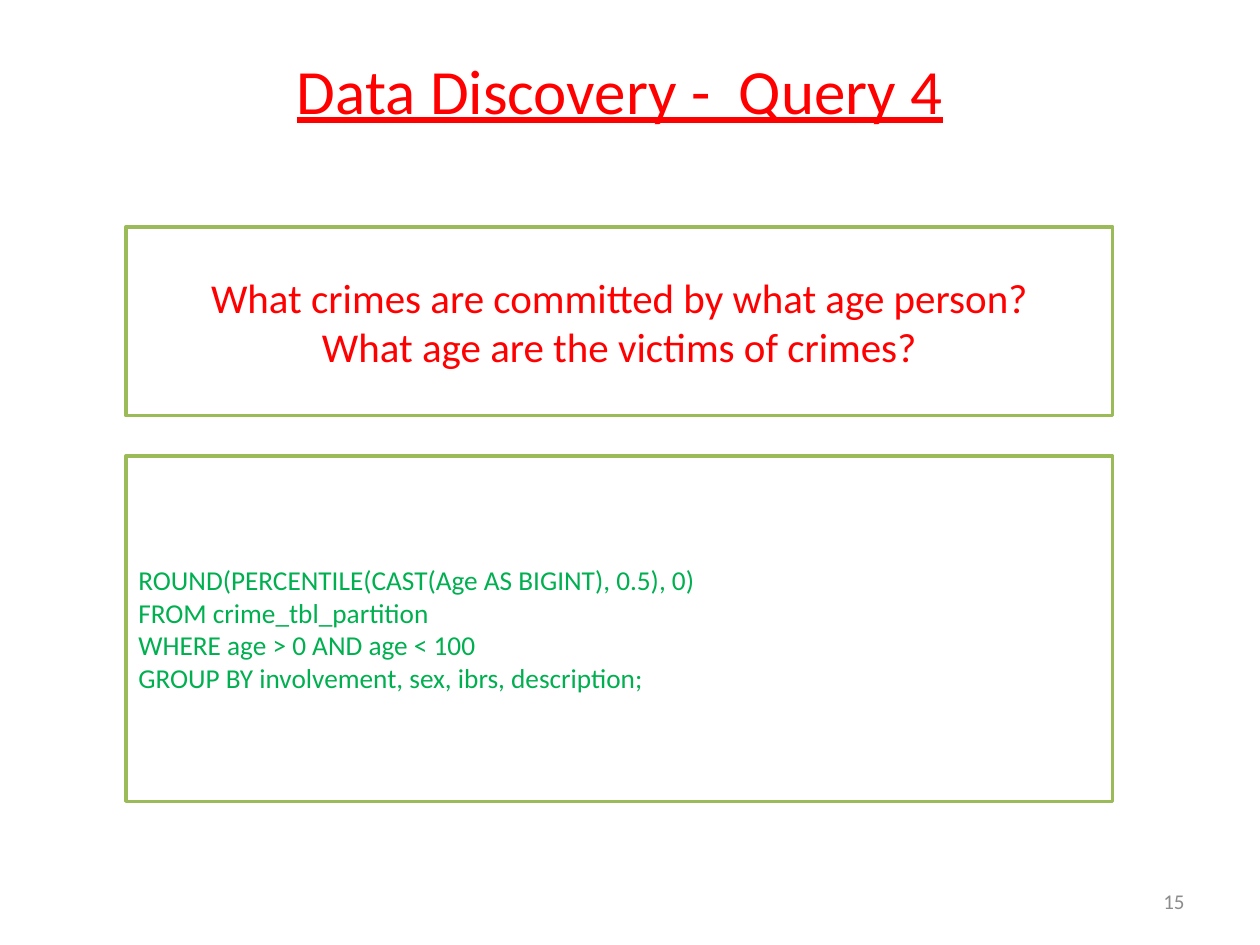
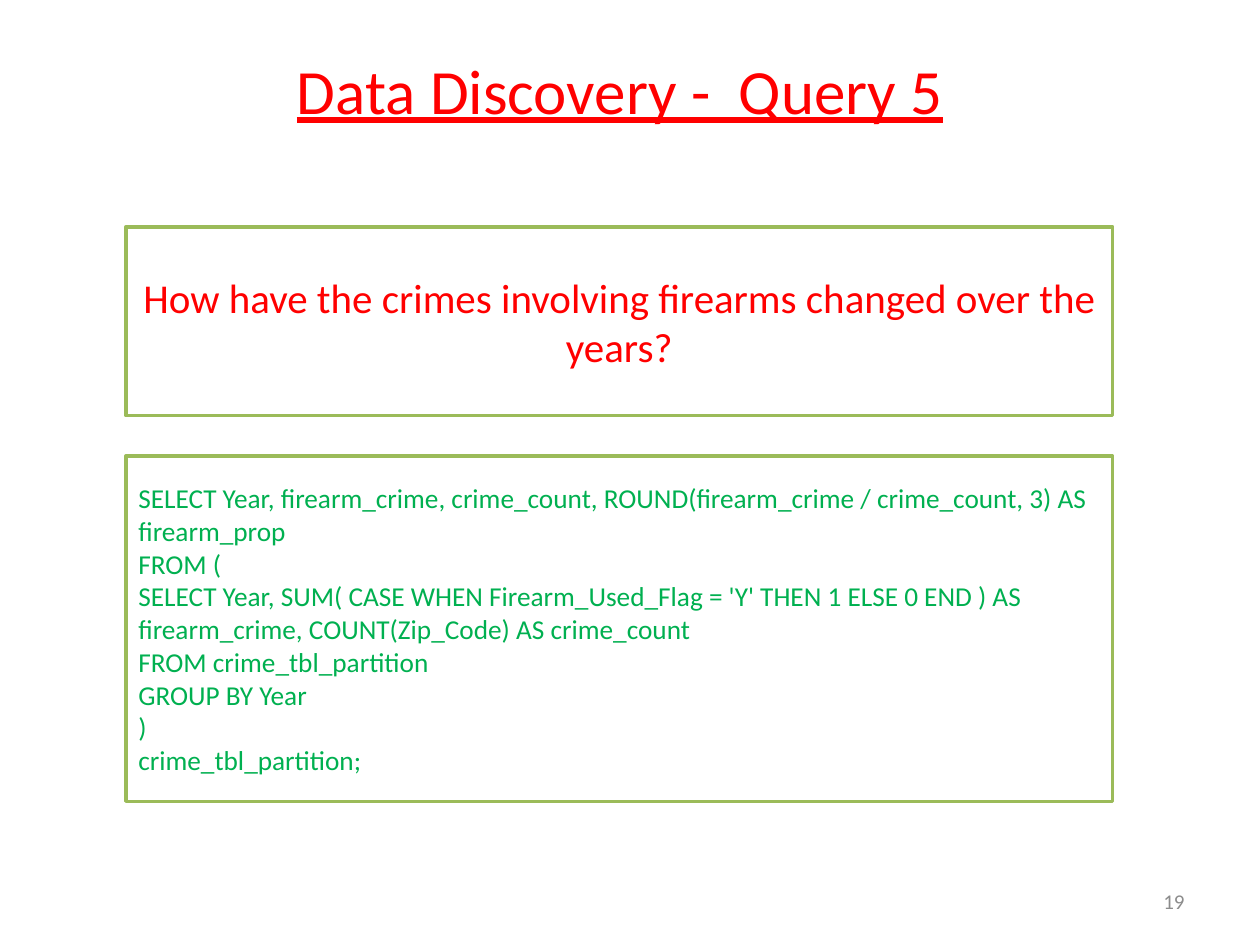
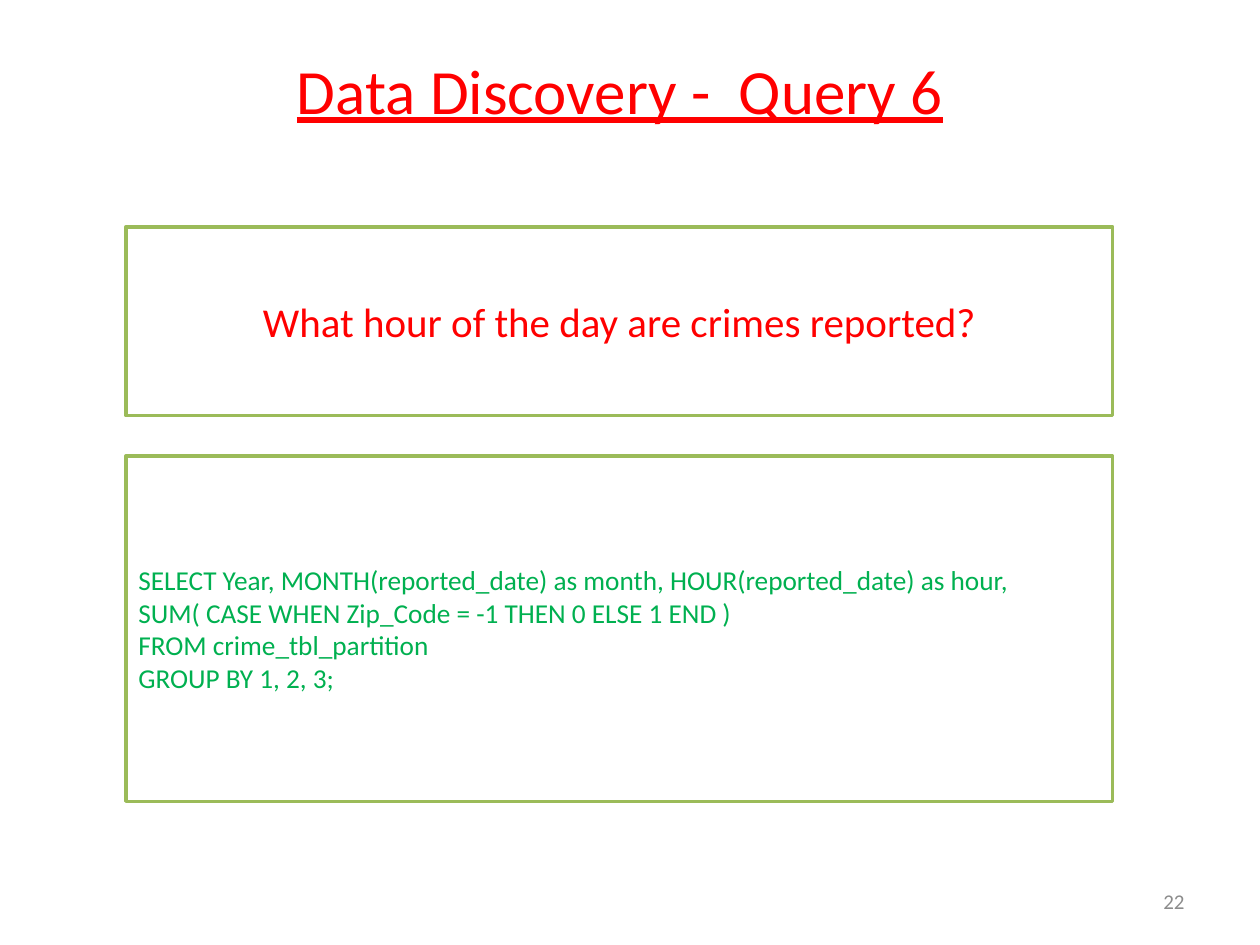
from dataclasses import dataclass

from pptx import Presentation
from pptx import util as u
from pptx.dml.color import RGBColor
from pptx.enum import shapes, text

SLIDE_WIDTH, SLIDE_HEIGHT = u.Inches(10), u.Inches(7.5)
COLUMNS, ROWS = 100, 75
FONT = "Calibri"
WHITE, RED, GREEN, OLIVE, GREY = "FFFFFF", "FF0000", "00B050", "9BBB59", "8C8C8C"


@dataclass(frozen=True)
class Area:
    """A place on the slide, in columns and rows of the grid."""
    column: float
    row: float
    columns: float
    rows: float

    def box(self) -> tuple[int, int, int, int]:
        """Return left, top, width and height in EMU."""
        across, down = SLIDE_WIDTH / COLUMNS, SLIDE_HEIGHT / ROWS
        return (round(self.column * across), round(self.row * down),
                round(self.columns * across), round(self.rows * down))


@dataclass(frozen=True)
class Style:
    """Place and text format of one part that every slide has."""
    area: Area
    size: float
    color: str
    align: text.PP_ALIGN
    underline: bool = False
    framed: bool = False


@dataclass(frozen=True)
class Query:
    """The content of one query slide."""
    number: int
    page: int
    question: list[str]
    sql: list[str]


PAGE = Style(Area(71.7, 69.5, 23.3, 4), 12, GREY, text.PP_ALIGN.RIGHT)
TITLE = Style(Area(16.1, 0.8, 66.2, 12.5), 36, RED, text.PP_ALIGN.CENTER, underline=True)
QUESTION = Style(Area(10, 18, 78.3, 15), 23.4, RED, text.PP_ALIGN.CENTER, framed=True)
SQL = Style(Area(10, 36.2, 78.3, 27.4), 15.6, GREEN, text.PP_ALIGN.LEFT, framed=True)

QUERIES = [
    Query(4, 15,
          ["What crimes are committed by what age person?",
           "What age are the victims of crimes?"],
          ["ROUND(PERCENTILE(CAST(Age AS BIGINT), 0.5), 0)",
           "FROM crime_tbl_partition",
           "WHERE age > 0 AND age < 100",
           "GROUP BY involvement, sex, ibrs, description;"]),
    Query(5, 19,
          ["How have the crimes involving firearms changed over the years?"],
          ["SELECT Year, firearm_crime, crime_count, "
           "ROUND(firearm_crime / crime_count, 3) AS firearm_prop",
           "FROM (",
           "SELECT Year, SUM( CASE WHEN Firearm_Used_Flag = 'Y' THEN 1 ELSE 0 END ) "
           "AS firearm_crime, COUNT(Zip_Code) AS crime_count",
           "FROM crime_tbl_partition",
           "GROUP BY Year",
           ")",
           "crime_tbl_partition;"]),
    Query(6, 22,
          ["What hour of the day are crimes reported?"],
          ["SELECT Year, MONTH(reported_date) as month, HOUR(reported_date) as hour, "
           "SUM( CASE WHEN Zip_Code = -1 THEN 0 ELSE 1 END )",
           "FROM crime_tbl_partition",
           "GROUP BY 1, 2, 3;"]),
]


def rgb(color: str) -> RGBColor:
    """Turn a hex string into a colour."""
    return RGBColor.from_string(color)


def write(frame, lines: list[str], style: Style) -> None:
    """Write each line as a paragraph in the given style."""
    frame.word_wrap = True
    frame.vertical_anchor = text.MSO_ANCHOR.MIDDLE
    font_format = {"name": FONT, "size": u.Pt(style.size),
                   "underline": style.underline or None}
    for index, line in enumerate(lines):
        paragraph = frame.add_paragraph() if index else frame.paragraphs[0]
        paragraph.alignment = style.align
        run = paragraph.add_run()
        run.text = line
        for attribute, value in font_format.items():
            setattr(run.font, attribute, value)
        run.font.color.rgb = rgb(style.color)


def draw_part(slide, lines: list[str], style: Style) -> None:
    """Draw one text part, in an outlined rectangle if it is framed."""
    if style.framed:
        part = slide.shapes.add_shape(shapes.MSO_SHAPE.RECTANGLE, *style.area.box())
        part.shadow.inherit = False
        part.fill.solid()
        part.fill.fore_color.rgb = rgb(WHITE)
        part.line.color.rgb = rgb(OLIVE)
        part.line.width = u.Pt(2)
    else:
        part = slide.shapes.add_textbox(*style.area.box())
    write(part.text_frame, lines, style)


def draw_query(deck, query: Query) -> None:
    """Add the slide of one query."""
    slide = deck.slides.add_slide(deck.slide_layouts[6])
    draw_part(slide, [str(query.page)], PAGE)
    draw_part(slide, [f"Data Discovery -  Query {query.number}"], TITLE)
    draw_part(slide, query.question, QUESTION)
    draw_part(slide, query.sql, SQL)


def main() -> None:
    """Build and save the deck."""
    deck = Presentation()
    deck.slide_width, deck.slide_height = SLIDE_WIDTH, SLIDE_HEIGHT
    for query in QUERIES:
        draw_query(deck, query)
    deck.save("out.pptx")


main()
